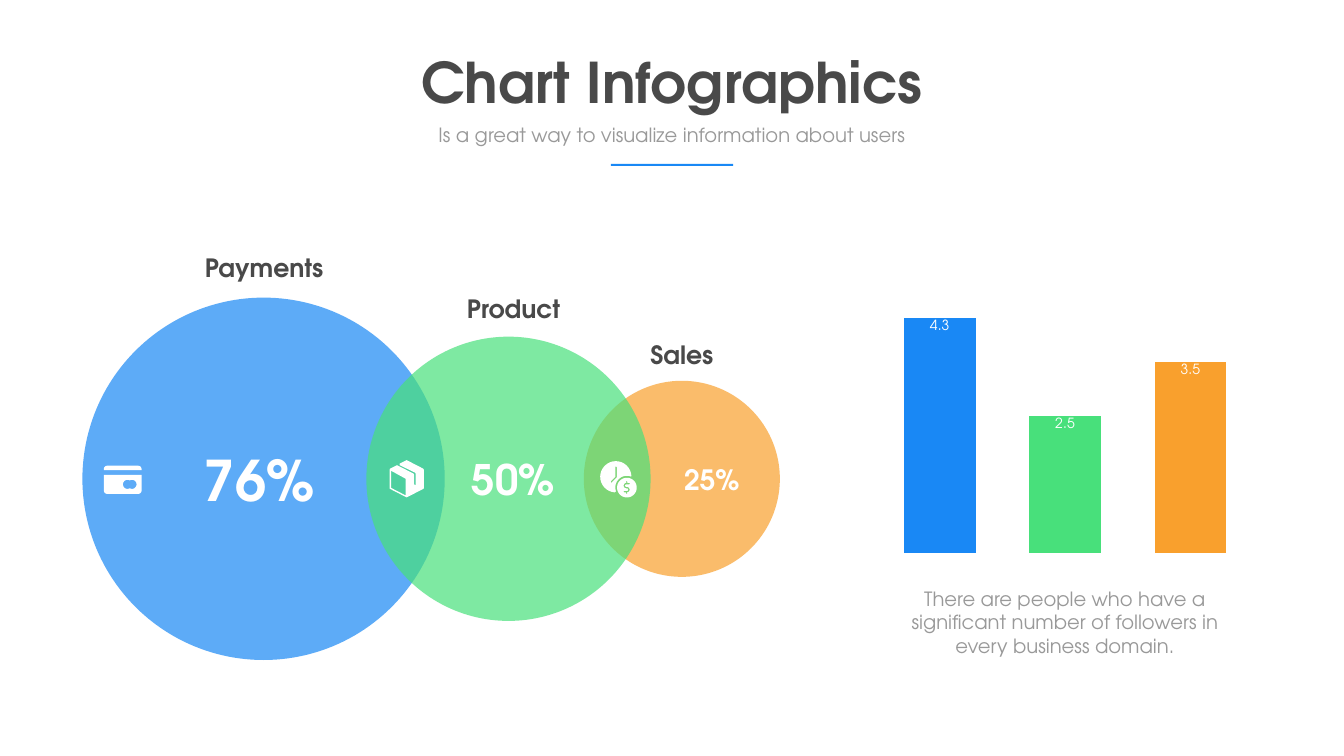
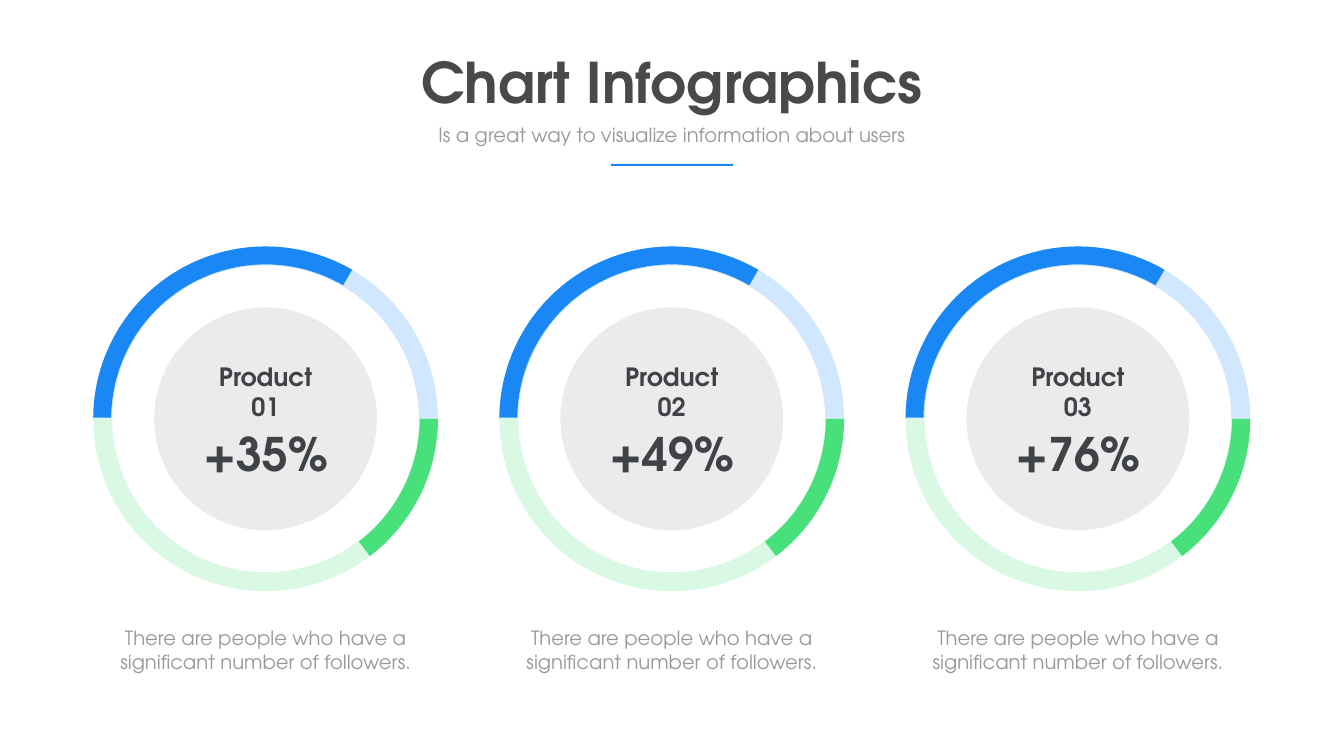
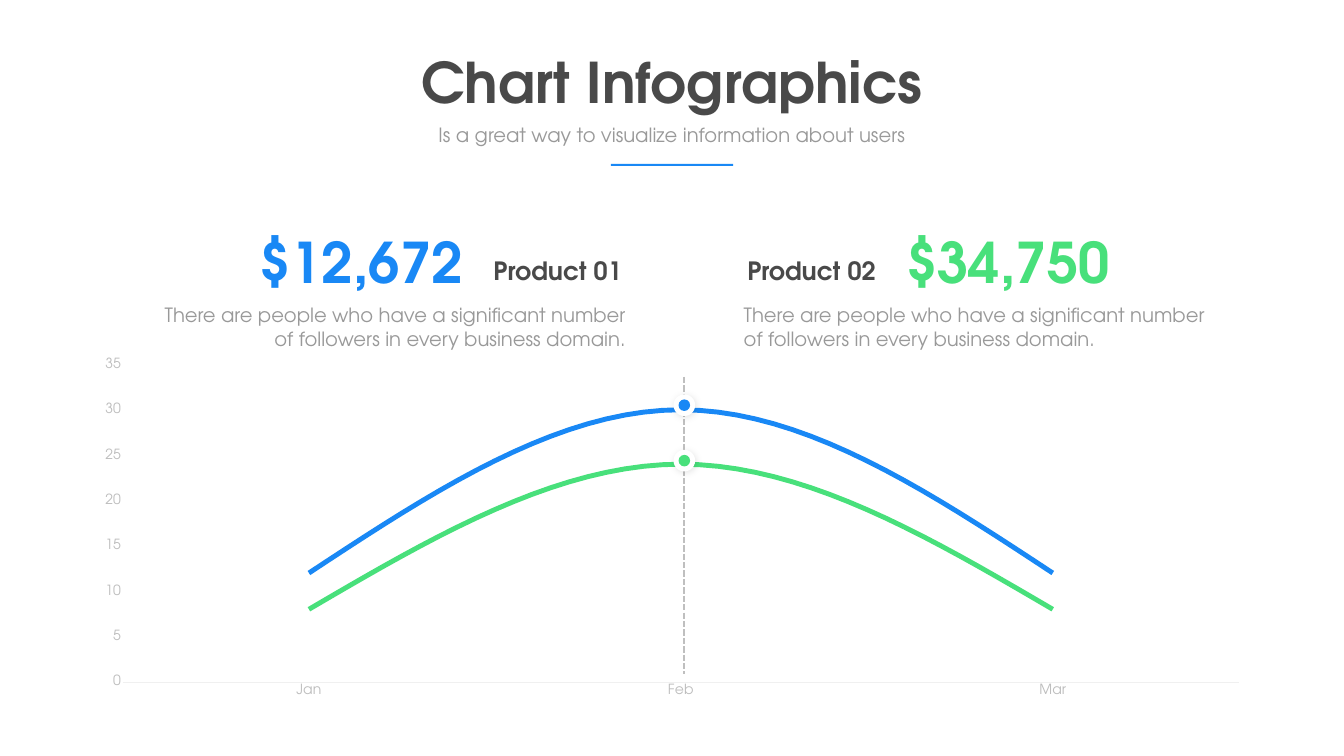
from math import cos, radians, sin

from lxml import etree
from pptx import Presentation
from pptx.chart.data import CategoryChartData
from pptx.dml.color import RGBColor
from pptx.enum.chart import XL_CHART_TYPE, XL_LABEL_POSITION, XL_MARKER_STYLE, XL_TICK_MARK
from pptx.enum.dml import MSO_LINE
from pptx.enum.shapes import MSO_CONNECTOR, MSO_SHAPE
from pptx.enum.text import MSO_ANCHOR, MSO_AUTO_SIZE, PP_ALIGN
from pptx.oxml.ns import qn
from pptx.util import Inches, Pt

LEFT, CENTER, RIGHT = PP_ALIGN.LEFT, PP_ALIGN.CENTER, PP_ALIGN.RIGHT
TOP, MIDDLE = MSO_ANCHOR.TOP, MSO_ANCHOR.MIDDLE
RECTANGLE, OVAL, BLOCK_ARC = MSO_SHAPE.RECTANGLE, MSO_SHAPE.OVAL, MSO_SHAPE.BLOCK_ARC
COLUMNS, LINES = XL_CHART_TYPE.COLUMN_CLUSTERED, XL_CHART_TYPE.LINE
NO_TICKS, NO_MARKER = XL_TICK_MARK.NONE, XL_MARKER_STYLE.NONE
INSIDE_END = XL_LABEL_POSITION.INSIDE_END
SHORT_DASH = MSO_LINE.SQUARE_DOT

FONT = "TeX Gyre Adventor"
WHITE, DARK, SLATE, GREY = "FFFFFF", "494949", "3F4347", "999999"
BLUE, GREEN, ORANGE = "1988F5", "48E07B", "F9A02D"
PALE_BLUE, PALE_GREEN, PALE_GREY = "D1E7FD", "DAF9E5", "EBEBEB"
AXIS_TEXT, AXIS_LINE, DASH_GREY = "BDBDBD", "F0F0F0", "BFBFBF"

FOLLOWERS = "There are people who have a significant number of followers"
FOLLOWERS_IN_DOMAINS = FOLLOWERS + " in every business domain."


def color(value):
    return RGBColor.from_string(value)


def set_font(font, size, value, bold=None):
    font.name, font.size, font.bold = FONT, Pt(size), bold
    font.color.rgb = color(value)


def write(frame, text, size, value, bold=False, align=CENTER, anchor=TOP):
    frame.word_wrap = True
    frame.auto_size = MSO_AUTO_SIZE.SHAPE_TO_FIT_TEXT
    frame.vertical_anchor = anchor
    para = frame.paragraphs[0]
    para.alignment = align
    span = para.add_run()
    span.text = text
    set_font(span.font, size, value, bold)


def add_text(page, place, text, size=28, value=GREY, bold=False, align=CENTER):
    box = page.shapes.add_textbox(*map(Inches, place))
    write(box.text_frame, text, size, value, bold, align)


def add_figure(page, place, text, size, value=WHITE, align=CENTER):
    """Add a bold, vertically centred text with narrow margins."""
    frame = page.shapes.add_textbox(*map(Inches, place)).text_frame
    frame.margin_left = frame.margin_right = Inches(0.06)
    frame.margin_top = frame.margin_bottom = Inches(0.06)
    write(frame, text, size, value, True, align, MIDDLE)


def paint(shape, value):
    shape.fill.solid()
    shape.fill.fore_color.rgb = color(value)
    shape.line.fill.background()
    shape.shadow.inherit = False


def add_filled(page, kind, place, value):
    shape = page.shapes.add_shape(kind, *map(Inches, place))
    paint(shape, value)
    return shape


def add_disc(page, x, y, diameter, value):
    """Add a circle centred on x, y."""
    place = (x - diameter / 2, y - diameter / 2, diameter, diameter)
    return add_filled(page, OVAL, place, value)


def set_opacity(shape, percent):
    srgb = shape.element.spPr.find(".//" + qn("a:srgbClr"))
    etree.SubElement(srgb, qn("a:alpha"), val=str(percent * 1000))


def add_soft_shadow(shape):
    effects = shape.element.spPr.find(qn("a:effectLst"))
    shadow = etree.SubElement(effects, qn("a:outerShdw"), blurRad=str(Pt(10)),
                              dist=str(Pt(3)), dir="2700000", algn="tl", rotWithShape="0")
    black = etree.SubElement(shadow, qn("a:srgbClr"), val="000000")
    etree.SubElement(black, qn("a:alpha"), val="10000")


def add_page(deck):
    page = deck.slides.add_slide(deck.slide_layouts[5])
    title = page.shapes.title
    title.left, title.top, title.width, title.height = map(Inches, (6.88, 0.9, 12.91, 1.45))
    write(title.text_frame, "Chart Infographics", 80, DARK, True)
    add_text(page, (8.55, 2.38, 9.56, 0.57),
             "Is a great way to visualize information about users")
    add_filled(page, RECTANGLE, (12.12, 3.25, 2.43, 0.04), BLUE)
    return page


def arc(x, y, radius, start, end, steps=24):
    """Return points on a circle; angles in degrees, clockwise from the right."""
    angles = [radians(start + (end - start) * i / steps) for i in range(steps + 1)]
    return [(x + radius * cos(a), y + radius * sin(a)) for a in angles]


def rounded_bar(left, top, right, bottom, upper, lower):
    """Return a rectangle outline with its upper and lower corner radii."""
    return (arc(left + upper, top + upper, upper, 180, 270, 6)
            + arc(right - upper, top + upper, upper, 270, 360, 6)
            + arc(right - lower, bottom - lower, lower, 0, 90, 6)
            + arc(left + lower, bottom - lower, lower, 90, 180, 6))


def add_outline(page, *contours):
    """Add one white shape; contours after the first cut holes."""
    contours = [[(Inches(x), Inches(y)) for x, y in points] for points in contours]
    builder = page.shapes.build_freeform(*contours[0][0])
    for index, points in enumerate(contours):
        if index:
            builder.move_to(*points[0])
        builder.add_line_segments(points[1:], close=True)
    paint(builder.convert_to_shape(), WHITE)


def add_card_icon(page):
    add_outline(page, rounded_bar(2.06, 9.24, 2.81, 9.33, 0.07, 0.01))
    add_outline(page, rounded_bar(2.06, 9.42, 2.81, 9.8, 0.01, 0.07),
                arc(2.53, 9.61, 0.09, 60, 300) + arc(2.62, 9.61, 0.09, -120, 120))


def add_package_icon(page):
    box = [(8.4, 9.3), (8.07, 9.13), (7.93, 9.2), (7.93, 9.23), (8.24, 9.38), (8.25, 9.4),
           (8.25, 9.61), (8.24, 9.63), (8.22, 9.61), (8.22, 9.42), (8.21, 9.4), (7.88, 9.23),
           (7.74, 9.3), (7.73, 9.32), (7.73, 9.69), (7.74, 9.7), (8.07, 9.87), (8.4, 9.7),
           (8.41, 9.69), (8.41, 9.32)]
    add_outline(page, box, [(8.05, 9.83), (7.76, 9.68), (7.76, 9.34), (8.05, 9.5)])


def add_clock_and_coin_icon(page):
    face = arc(12.22, 9.46, 0.31, 94, 356) + arc(12.44, 9.67, 0.23, -69, -200)
    hands = [(12.14, 9.57), (12.13, 9.58), (12.12, 9.57), (12.12, 9.55), (12.21, 9.46),
             (12.21, 9.27), (12.22, 9.25), (12.24, 9.27), (12.24, 9.47)]
    add_outline(page, face, hands)
    dollar = (arc(12.44, 9.715, 0.055, -90, 90, 8)
              + [(12.45, 9.79), (12.44, 9.8), (12.42, 9.79), (12.42, 9.77), (12.39, 9.77),
                 (12.37, 9.76), (12.39, 9.74)]
              + arc(12.44, 9.715, 0.025, 90, -90, 8)
              + arc(12.43, 9.635, 0.055, 90, 270, 8)
              + [(12.42, 9.56), (12.44, 9.54), (12.45, 9.56), (12.45, 9.58), (12.49, 9.58),
                 (12.5, 9.59), (12.49, 9.61)]
              + arc(12.43, 9.635, 0.025, 270, 90, 8))
    add_outline(page, arc(12.44, 9.675, 0.195, 0, 360, 48), dollar)


def add_chart(page, kind, place, categories, series, top_value):
    data = CategoryChartData()
    data.categories = categories
    for number, values in enumerate(series, 1):
        data.add_series(f"Series {number}", values)
    chart = page.shapes.add_chart(kind, *map(Inches, place), data).chart
    set_font(chart.font, 20, GREY)
    chart.has_legend = chart.has_title = False
    chart.plots[0].vary_by_categories = False
    axis = chart.value_axis
    axis.has_major_gridlines = False
    axis.minimum_scale, axis.maximum_scale = 0, top_value
    return chart


def add_score_columns(page):
    chart = add_chart(page, COLUMNS, (17.25, 5.44, 7.77, 5.64),
                      ["1", "2", "3"], [(4.3, 2.5, 3.5)], 5)
    chart.category_axis.visible = chart.value_axis.visible = False
    plot = chart.plots[0]
    plot.gap_width = 75
    for index, value in enumerate((BLUE, GREEN, ORANGE)):
        fill = plot.series[0].points[index].format.fill
        fill.solid()
        fill.fore_color.rgb = color(value)
    plot.has_data_labels = True
    labels = plot.data_labels
    labels.show_value = True
    labels.position = INSIDE_END
    set_font(labels.font, 20, WHITE)


def add_month_lines(page):
    chart = add_chart(page, LINES, (1.62, 6.96, 23.43, 7.01),
                      ["Jan", "Feb", "Mar"], [(12, 30, 12), (8, 24, 8)], 35)
    for axis in (chart.category_axis, chart.value_axis):
        axis.major_tick_mark = axis.minor_tick_mark = NO_TICKS
        set_font(axis.tick_labels.font, 20, AXIS_TEXT)
    chart.value_axis.major_unit = 5
    chart.value_axis.format.line.fill.background()
    base = chart.category_axis.format.line
    base.color.rgb, base.width = color(AXIS_LINE), Pt(0.75)
    for series, value in zip(chart.plots[0].series, (BLUE, GREEN)):
        series.smooth = True
        series.marker.style = NO_MARKER
        series.format.line.color.rgb = color(value)
        series.format.line.width = Pt(7)


def add_dashed_line(page, x, top, bottom):
    line = page.shapes.add_connector(MSO_CONNECTOR.STRAIGHT, *map(Inches, (x, top, x, bottom)))
    line.line.color.rgb = color(DASH_GREY)
    line.line.width = Pt(3)
    line.line.dash_style = SHORT_DASH
    etree.SubElement(line.element.spPr, qn("a:effectLst"))


def add_ring_part(page, x, y, value, end, thickness, rotation):
    """Add an arc from the left end of the half ring to an angle in degrees."""
    part = add_filled(page, BLOCK_ARC, (x - 3.42, y - 3.42, 6.84, 6.84), value)
    part.rotation = rotation
    for index, amount in enumerate((180 * 0.6, end * 0.6, thickness)):
        part.adjustments[index] = amount


def add_product_ring(page, x, name, growth):
    y = 8.31
    add_disc(page, x, y, 4.42, PALE_GREY)
    for value, end, thickness, rotation in ((PALE_BLUE, 0.4, 0.055, 0),
                                            (BLUE, 300.15, 0.052, 0),
                                            (PALE_GREEN, 0.4, 0.055, 180),
                                            (GREEN, 232.77, 0.053, 180)):
        add_ring_part(page, x, y, value, end, thickness, rotation)
    add_figure(page, (x - 1.32, 7.1, 2.64, 1.32), name, 36, SLATE)
    add_figure(page, (x - 1.32, 8.38, 2.64, 1.22), growth, 66, SLATE)
    add_text(page, (x - 3.38, 12.37, 6.76, 1.04), FOLLOWERS + ".")


def build_circles_page(deck):
    page = add_page(deck)
    middle = 9.5
    for x, diameter, value in ((13.53, 3.89, ORANGE), (5.23, 7.19, BLUE), (10.09, 5.64, GREEN)):
        set_opacity(add_disc(page, x, middle, diameter, value), 70)
    add_card_icon(page)
    add_package_icon(page)
    add_clock_and_coin_icon(page)
    for left, height, share, size in ((12.27, 0.79, "25%", 40), (8.33, 1.12, "50%", 60),
                                      (3.29, 1.46, "76%", 80)):
        add_figure(page, (left, middle - height / 2, 3.71, height), share, size)
    add_score_columns(page)
    add_text(page, (17.65, 11.59, 6.96, 1.51), FOLLOWERS_IN_DOMAINS)
    for left, top, name in ((3.53, 4.95, "Payments"), (8.48, 5.78, "Product"),
                            (11.82, 6.68, "Sales")):
        add_text(page, (left, top, 3.42, 0.71), name, 36, DARK, True)


def build_rings_page(deck):
    page = add_page(deck)
    for index, growth in enumerate(("+35%", "+49%", "+76%")):
        add_product_ring(page, 5.27 + 8.06 * index, f"Product 0{index + 1}", growth)


def build_lines_page(deck):
    page = add_page(deck)
    add_month_lines(page)
    add_dashed_line(page, 13.58, 7.48, 13.37)
    for y, value in ((8.04, BLUE), (9.14, GREEN)):
        add_soft_shadow(add_disc(page, 13.58, y, 0.43, WHITE))
        add_disc(page, 13.58, y, 0.23, value)
    for name, amount, value, align, name_left, amount_left, note_left in (
            ("Product 02", "$34,750", GREEN, LEFT, 14.73, 17.92, 14.66),
            ("Product 01", "$12,672", BLUE, RIGHT, 9.29, 3.03, 3.03)):
        add_text(page, (name_left, 5.02, 3.15, 0.71), name, 36, DARK, True, align)
        add_figure(page, (amount_left, 4.46, 6.22, 1.46), amount, 80, value, align)
        add_text(page, (note_left, 5.97, 9.48, 1.04), FOLLOWERS_IN_DOMAINS, align=align)


def main():
    deck = Presentation()
    deck.slide_width, deck.slide_height = Inches(26.67), Inches(15)
    build_circles_page(deck)
    build_rings_page(deck)
    build_lines_page(deck)
    deck.save("out.pptx")


if __name__ == "__main__":
    main()
